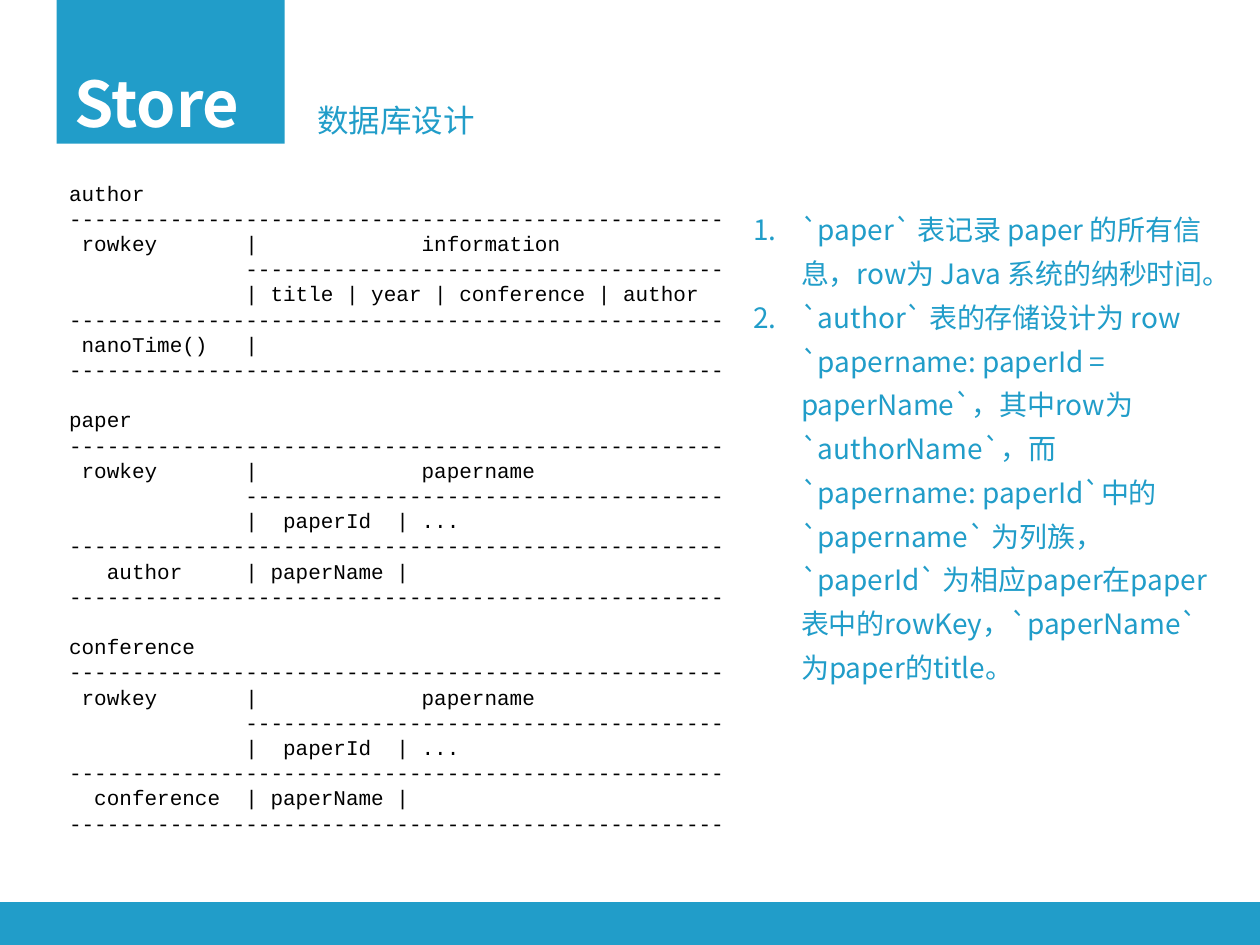
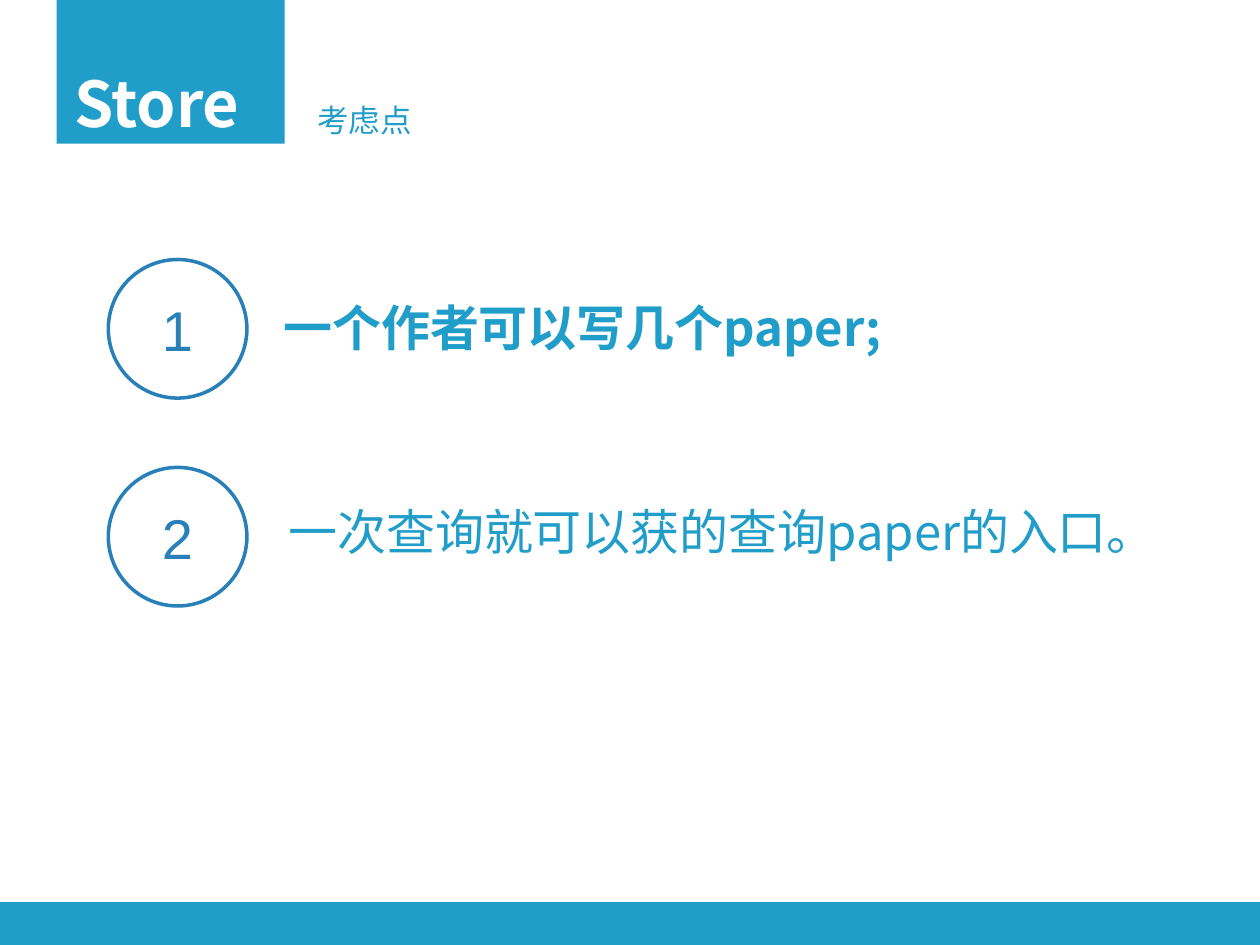
"""Builds two slides on the design of a column-store database."""
from lxml import etree
from pptx import Presentation, util as u
from pptx.dml.color import RGBColor
from pptx.enum import shapes, text
from pptx.oxml.ns import qn

BLUE, RING, WHITE, BLACK = "219DC9", "2980B9", "FFFFFF", "000000"
SANS, MONO = "Noto Sans CJK SC", "Courier New"
KEY_WIDTH, TABLE_WIDTH = 14, 52

TITLE = "Store"
SUBTITLES = ["数据库设计", "考虑点"]
SCHEMAS = [
    dict(name="author", family="information", key="nanoTime()", indent=1,
         columns="| title | year | conference | author", value="|"),
    dict(name="paper", family="papername", key="author", indent=3,
         columns="|  paperId  | ...", value="| paperName |"),
    dict(name="conference", family="papername", key="conference", indent=2,
         columns="|  paperId  | ...", value="| paperName |"),
]
NOTES = [
    "`paper` 表记录 paper 的所有信息，row为 Java 系统的纳秒时间。",
    "`author` 表的存储设计为 row `papername: paperId = paperName`，其中row为 `authorName`，"
    "而 `papername: paperId`中的 `papername` 为列族，`paperId` 为相应paper在paper表中的rowKey，"
    "`paperName` 为paper的title。",
]
POINTS = [
    ("一个作者可以写几个paper;", True, (2.15, 2.3, 5.34, 0.57)),
    ("一次查询就可以获的查询paper的入口。", False, (2.19, 3.92, 6.85, 0.9)),
]
CIRCLE_LEFT, CIRCLE_TOP, CIRCLE_SIZE, CIRCLE_STEP = 0.86, 2.06, 1.1, 1.65


def rgb(color):
    return RGBColor.from_string(color)


def inches(box):
    return [u.Inches(v) for v in box]


def style(p, size, color, font=SANS, bold=False, spacing=None):
    if spacing:
        p.line_spacing = u.Pt(spacing)
    for r in p.runs:
        r.font.size, r.font.bold, r.font.name = u.Pt(size), bold, font
        r.font.color.rgb = rgb(color)
        ea = etree.SubElement(r._r.get_or_add_rPr(), qn("a:ea"))
        ea.set("typeface", font)


def add_text(s, box, lines, size, color, wrap=True, **look):
    tf = s.shapes.add_textbox(*inches(box)).text_frame
    tf.word_wrap = wrap
    tf.text = "\n".join(lines)
    for p in tf.paragraphs:
        style(p, size, color, **look)
    return tf


def add_shape(s, kind, box, fill=None, line=None):
    sp = s.shapes.add_shape(kind, *inches(box))
    sp.shadow.inherit = False
    if fill:
        sp.fill.solid()
        sp.fill.fore_color.rgb = rgb(fill)
    else:
        sp.fill.background()
    if line:
        sp.line.color.rgb = rgb(line)
        sp.line.width = u.Pt(2)
    else:
        sp.line.fill.background()
    return sp


def add_base(prs, subtitle):
    s = prs.slides.add_slide(prs.slide_layouts[6])
    for box in [(0, 7.16, 10, 0.36), (0.45, 0, 1.81, 1.14)]:
        add_shape(s, shapes.MSO_SHAPE.RECTANGLE, box, fill=BLUE)
    add_text(s, (0.49, 0.46, 1.77, 0.71), [TITLE], 36, WHITE,
             wrap=False, bold=True, spacing=43.4)
    add_text(s, (2.42, 0.66, 3.94, 0.48), [subtitle], 18, BLUE, spacing=28.3)
    return s


def schema_lines(schema):
    rule = "-" * TABLE_WIDTH
    key = (" " * schema["indent"] + schema["key"]).ljust(KEY_WIDTH)
    return [
        schema["name"],
        rule,
        " rowkey".ljust(KEY_WIDTH) + "|" + " " * 13 + schema["family"],
        ("-" * (TABLE_WIDTH - KEY_WIDTH)).rjust(TABLE_WIDTH),
        " " * KEY_WIDTH + schema["columns"],
        rule,
        key + schema["value"],
        rule,
    ]


def add_design(prs):
    s = add_base(prs, SUBTITLES[0])
    blocks = [schema_lines(schema) for schema in SCHEMAS]
    tf = add_text(s, (0.45, 1.38, 6.03, 5.35), sum(blocks, []), 12, BLACK,
                  font=MONO, spacing=14.4)
    for p in tf.paragraphs[len(blocks[0])::len(blocks[0])]:
        p.space_before = u.Pt(14.4)
    tf = add_text(s, (5.88, 1.56, 3.94, 3.59), NOTES, 16, BLUE, spacing=25)
    for p in tf.paragraphs:
        pPr = p._p.get_or_add_pPr()
        pPr.set("marL", str(u.Inches(0.38)))
        pPr.set("indent", str(-u.Inches(0.38)))
        etree.SubElement(pPr, qn("a:buAutoNum")).set("type", "arabicPeriod")


def add_points(prs):
    s = add_base(prs, SUBTITLES[1])
    for i, (point, bold, box) in enumerate(POINTS):
        top = CIRCLE_TOP + i * CIRCLE_STEP
        sp = add_shape(s, shapes.MSO_SHAPE.OVAL,
                       (CIRCLE_LEFT, top, CIRCLE_SIZE, CIRCLE_SIZE), line=RING)
        tf = sp.text_frame
        tf.text = str(i + 1)
        tf.vertical_anchor = text.MSO_ANCHOR.MIDDLE
        p = tf.paragraphs[0]
        p.alignment = text.PP_ALIGN.CENTER
        style(p, 32, RING, font="Arial")
        add_text(s, box, [point], 28, BLUE, bold=bold, spacing=34.3)


def main():
    prs = Presentation()
    prs.slide_width, prs.slide_height = inches((10, 7.5))
    add_design(prs)
    add_points(prs)
    prs.save("out.pptx")


if __name__ == "__main__":
    main()
